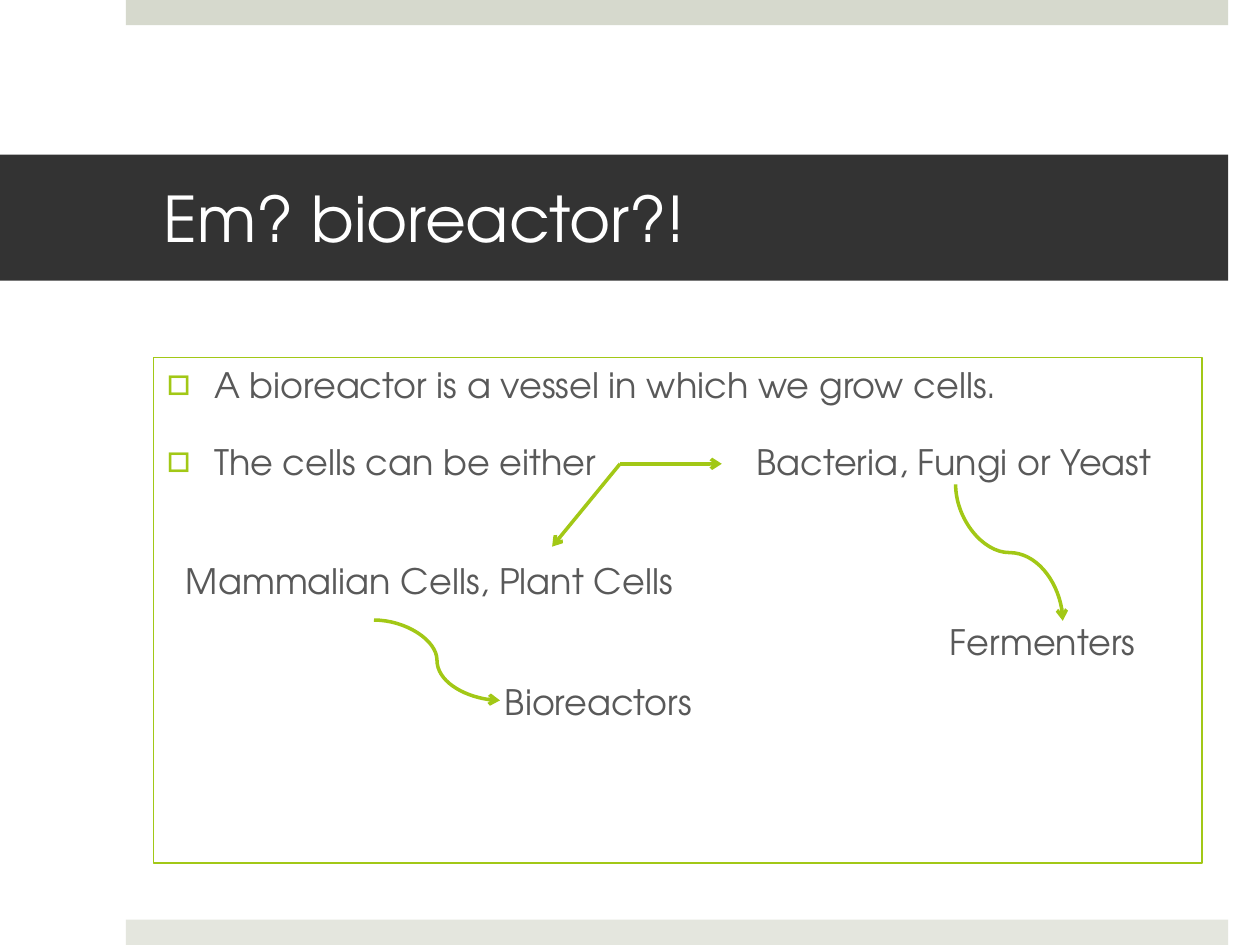
from lxml import etree
from pptx import Presentation
from pptx.dml.color import RGBColor
from pptx.enum.shapes import MSO_CONNECTOR as CONN, MSO_SHAPE as SHAPE
from pptx.enum.text import MSO_ANCHOR as ANCHOR, PP_ALIGN as ALIGN
from pptx.oxml.ns import qn
from pptx.util import Cm, Pt

COLORS = {"top": "D6D9CD", "bottom": "E4E6DE", "band": "333333",
          "title": "FFFFFF", "text": "595959", "accent": "A2C816"}
FONT = "TeX Gyre Adventor"


def color(name):
    return RGBColor.from_string(COLORS[name])


def add_run(p, text, size, color_name):
    r = p.add_run()
    r.text = text
    for key, value in {"name": FONT, "size": Pt(size)}.items():
        setattr(r.font, key, value)
    r.font.color.rgb = color(color_name)


prs = Presentation()
prs.slide_width, prs.slide_height = Cm(25.4), Cm(19.05)
s = prs.slides.add_slide(prs.slide_layouts[6])

# Bars and title band
bars = {
    "top": (2.54, 0, 22.22, 0.51),
    "bottom": (2.54, 18.54, 22.22, 0.51),
    "band": (0, 3.12, 24.76, 2.54),
}
for name, box in bars.items():
    sp = s.shapes.add_shape(SHAPE.RECTANGLE, *map(Cm, box))
    sp.shadow.inherit = False
    sp.fill.solid()
    sp.fill.fore_color.rgb = color(name)
    sp.line.fill.background()

# The band is the last bar and carries the title
tf = sp.text_frame
title_format = {"margin_left": Cm(3.3), "margin_right": Cm(0.76),
                "vertical_anchor": ANCHOR.MIDDLE, "word_wrap": True}
for key, value in title_format.items():
    setattr(tf, key, value)
p = tf.paragraphs[0]
p.alignment = ALIGN.LEFT
add_run(p, "Em? bioreactor?!", 36, "title")

# Body: text, left margin in cm, line spacing, space before, bullet
body = [
    ("A bioreactor is a vessel in which we grow cells.", 0.97, 1.0, 20, True),
    ("The cells can be either\tBacteria, Fungi or Yeast", 0.97, 1.0, 20, True),
    ("Mammalian Cells, Plant Cells", 0.4, 0.6, 52.5, False),
    ("Fermenters", 15.8, 0.6, 20, False),
    ("Bioreactors", 6.83, 0.6, 20, False),
]
sp = s.shapes.add_textbox(Cm(3.1), Cm(7.21), Cm(21.13), Cm(10.19))
sp.line.color.rgb = color("accent")
sp.line.width = Pt(0.75)
tf = sp.text_frame
tf.word_wrap = True
for i, (text, margin, spacing, before, bullet) in enumerate(body):
    p = tf.add_paragraph() if i else tf.paragraphs[0]
    p.line_spacing = spacing
    p.space_before = Pt(before)
    add_run(p, text, 20, "text")
    pPr = p._p.get_or_add_pPr()
    pPr.set("marL", str(Cm(margin)))
    pPr.set("indent", str(-Cm(margin) if bullet else 0))
    if bullet:
        bu_color = etree.SubElement(pPr, qn("a:buClr"))
        etree.SubElement(bu_color, qn("a:srgbClr"), val=COLORS["accent"])
        etree.SubElement(pPr, qn("a:buFont"), typeface=FONT)
        etree.SubElement(pPr, qn("a:buChar"), char="□")
    if "\t" in text:
        tabs = etree.SubElement(pPr, qn("a:tabLst"))
        etree.SubElement(tabs, qn("a:tab"), pos=str(Cm(11.9)), algn="l")

# Arrows: kind, begin and end in cm, rotation in degrees
arrows = [
    (CONN.STRAIGHT, (12.5, 9.35, 14.55, 9.35), 0),
    (CONN.STRAIGHT, (12.5, 9.35, 11.13, 11.02), 0),
    (CONN.CURVE, (21.72, 10.06, 18.97, 12.22), 270),
    (CONN.CURVE, (7.54, 12.5, 10.08, 14.12), 0),
]
for kind, ends, rotation in arrows:
    arrow = s.shapes.add_connector(kind, *map(Cm, ends))
    arrow.line.color.rgb = color("accent")
    arrow.line.width = Pt(2)
    spPr = arrow._element.spPr
    if rotation:
        spPr.find(qn("a:xfrm")).set("rot", str(rotation * 60000))
    etree.SubElement(spPr.find(qn("a:ln")), qn("a:tailEnd"), type="arrow")
    etree.SubElement(spPr, qn("a:effectLst"))

prs.save("out.pptx")
